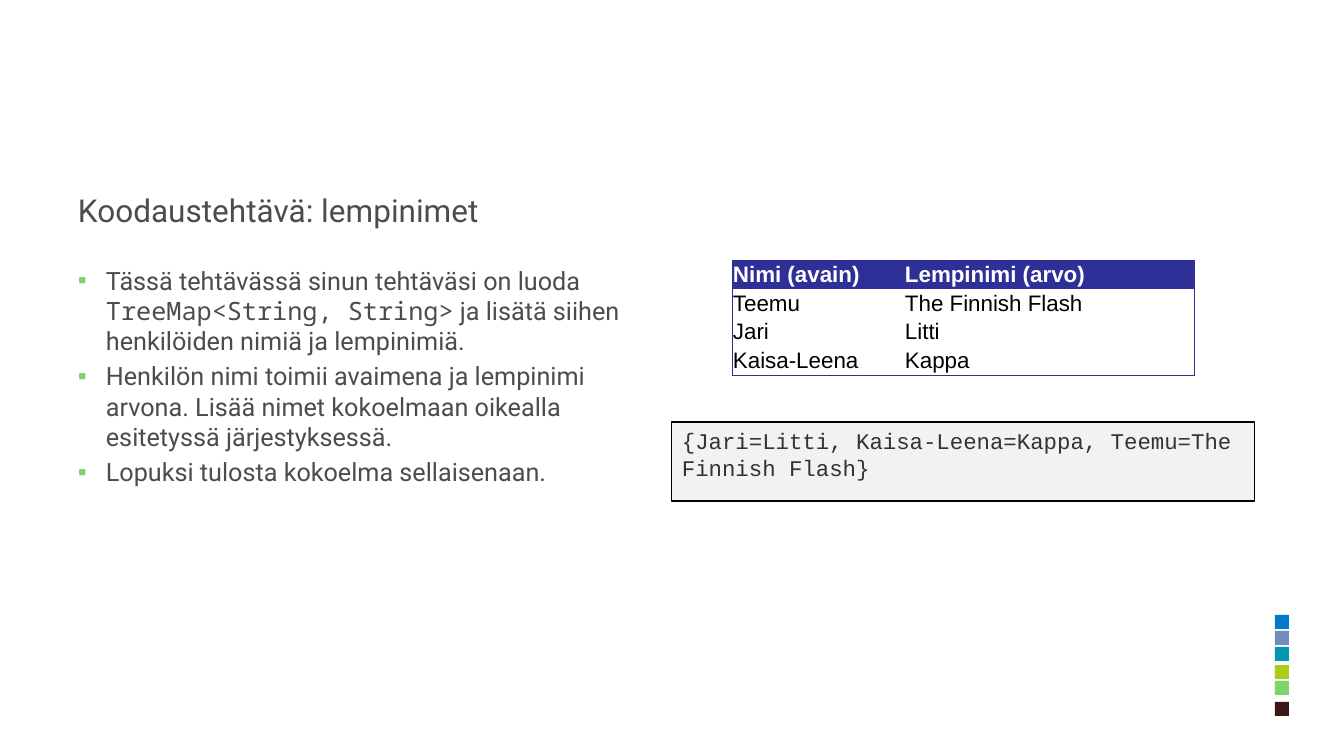
from lxml import etree
from pptx import Presentation
from pptx.dml.color import RGBColor
from pptx.enum.shapes import MSO_SHAPE
from pptx.enum.text import MSO_ANCHOR, PP_ALIGN
from pptx.oxml.ns import qn
from pptx.util import Emu, Pt

RECT = MSO_SHAPE.RECTANGLE
TOP, MIDDLE, LEFT = MSO_ANCHOR.TOP, MSO_ANCHOR.MIDDLE, PP_ALIGN.LEFT
GREY, GREEN, NAVY = "4C4C4C", "7CD568", "2F2F98"

TITLE = "Koodaustehtävä: lempinimet"
BULLETS = [
    [("Tässä tehtävässä sinun tehtäväsi on luoda ", "Roboto"),
     ("TreeMap<String, String>", "Noto Sans Mono"),
     (" ja lisätä siihen henkilöiden nimiä ja lempinimiä. ", "Roboto")],
    [("Henkilön nimi toimii avaimena ja lempinimi arvona. Lisää nimet "
      "kokoelmaan oikealla esitetyssä järjestyksessä.", "Roboto")],
    [("Lopuksi tulosta kokoelma sellaisenaan.", "Roboto")],
]
OUTPUT = "{Jari=Litti, Kaisa-Leena=Kappa, Teemu=The Finnish Flash}"
NICKNAMES = [
    ("Nimi (avain)", "Lempinimi (arvo)"),
    ("Teemu", "The Finnish Flash"),
    ("Jari", "Litti"),
    ("Kaisa-Leena", "Kappa"),
]
# Top of each group of colour squares, and its colours downwards
SQUARES = [
    (615, ["007AC9", "738CBC", "0099B1"]),
    (665, ["ACCD15", GREEN]),
    (702, ["3A1A18"]),
]

# Layout in pixels
SLIDE = (1344, 756)
TITLE_BOX = (68, 159, 1187, 101)
BODY_BOX = (68, 260, 583, 403)
OUTPUT_BOX = (672, 422, 583, 79)
TABLE_AT, COLUMNS, ROW = (732, 260), (172, 291), 28
SQUARE_LEFT, SQUARE, SQUARE_STEP = 1275, 14, 16
INDENT, CELL_INSET = 28, 1


def px(n):
    """Turn pixels into EMU."""
    return Emu(round(n * 914400 / 100.8))


def color(value):
    """Turn a hex string into a colour."""
    return RGBColor.from_string(value)


def put(obj, **values):
    """Set several attributes of an object."""
    for name, value in values.items():
        setattr(obj, name, value)


def add_run(p, text, font, size, fill, bold=False):
    """Add a formatted run to a paragraph."""
    r = p.add_run()
    r.text = text
    put(r.font, name=font, size=Pt(size), bold=bold)
    r.font.color.rgb = color(fill)


def add_box(s, box, fill=None, line=None):
    """Add a rectangle with an optional fill and outline."""
    sp = s.shapes.add_shape(RECT, *map(px, box))
    sp.shadow.inherit = False
    if fill:
        sp.fill.solid()
        sp.fill.fore_color.rgb = color(fill)
    else:
        sp.fill.background()
    if line:
        sp.line.color.rgb = color(line)
        sp.line.width = Pt(0.75)
    else:
        sp.line.fill.background()
    put(sp.text_frame, word_wrap=True, vertical_anchor=TOP)
    sp.text_frame.paragraphs[0].alignment = LEFT
    return sp


def add_text(s, box):
    """Add a wrapping text box and return its text frame."""
    tf = s.shapes.add_textbox(*map(px, box)).text_frame
    tf.word_wrap = True
    return tf


def add_bullet(p):
    """Give a paragraph a hanging green square bullet."""
    pPr = p._p.get_or_add_pPr()
    pPr.set("marL", str(px(INDENT)))
    pPr.set("indent", str(px(-INDENT)))
    clr = etree.SubElement(pPr, qn("a:buClr"))
    etree.SubElement(clr, qn("a:srgbClr"), val=GREEN)
    etree.SubElement(pPr, qn("a:buFont"), typeface="Arial")
    etree.SubElement(pPr, qn("a:buChar"), char="▪")


def set_borders(cell, shown):
    """Draw the sides of a cell that are marked as shown, hide the rest."""
    tcPr = cell._tc.get_or_add_tcPr()
    for i, side in enumerate("LRTB"):
        ln = etree.Element(qn("a:ln" + side), w=str(Pt(0.75)))
        if shown[side]:
            fill = etree.SubElement(ln, qn("a:solidFill"))
            etree.SubElement(fill, qn("a:srgbClr"), val=NAVY)
        else:
            etree.SubElement(ln, qn("a:noFill"))
        tcPr.insert(i, ln)


def add_nicknames(s):
    """Add the table of names and nicknames, framed on the outside."""
    rows, cols = len(NICKNAMES), len(COLUMNS)
    size = (sum(COLUMNS), ROW * rows)
    table = s.shapes.add_table(rows, cols, *map(px, TABLE_AT + size)).table
    put(table, first_row=False, horz_banding=False)
    for column, width in zip(table.columns, COLUMNS):
        column.width = px(width)
    for i, names in enumerate(NICKNAMES):
        table.rows[i].height = px(ROW)
        header = i == 0
        for j, name in enumerate(names):
            cell = table.cell(i, j)
            inset = px(CELL_INSET)
            put(cell, margin_left=inset, margin_right=inset, margin_top=inset,
                margin_bottom=inset, vertical_anchor=MIDDLE)
            if header:
                cell.fill.solid()
                cell.fill.fore_color.rgb = color(NAVY)
            else:
                cell.fill.background()
            add_run(cell.text_frame.paragraphs[0], name, "Arial", 16,
                    "FFFFFF" if header else "000000", header)
            set_borders(cell, {"L": j == 0, "R": j == cols - 1,
                               "T": header, "B": i == rows - 1})


prs = Presentation()
put(prs, slide_width=px(SLIDE[0]), slide_height=px(SLIDE[1]))
s = prs.slides.add_slide(prs.slide_layouts[6])

for top, fills in SQUARES:
    for i, fill in enumerate(fills):
        add_box(s, (SQUARE_LEFT, top + i * SQUARE_STEP, SQUARE, SQUARE), fill)

tf = add_text(s, TITLE_BOX)
tf.vertical_anchor = MIDDLE
add_run(tf.paragraphs[0], TITLE, "Roboto", 22.5, GREY)

tf = add_text(s, BODY_BOX)
for i, parts in enumerate(BULLETS):
    p = tf.add_paragraph() if i else tf.paragraphs[0]
    p.space_before = Pt(3.6)
    add_bullet(p)
    for text, font in parts:
        add_run(p, text, font, 18, GREY)

p = add_box(s, OUTPUT_BOX, "F2F2F2", "000000").text_frame.paragraphs[0]
p.space_before = Pt(3.2)
add_run(p, OUTPUT, "Courier New", 16, "333333")

add_nicknames(s)
prs.save("out.pptx")
